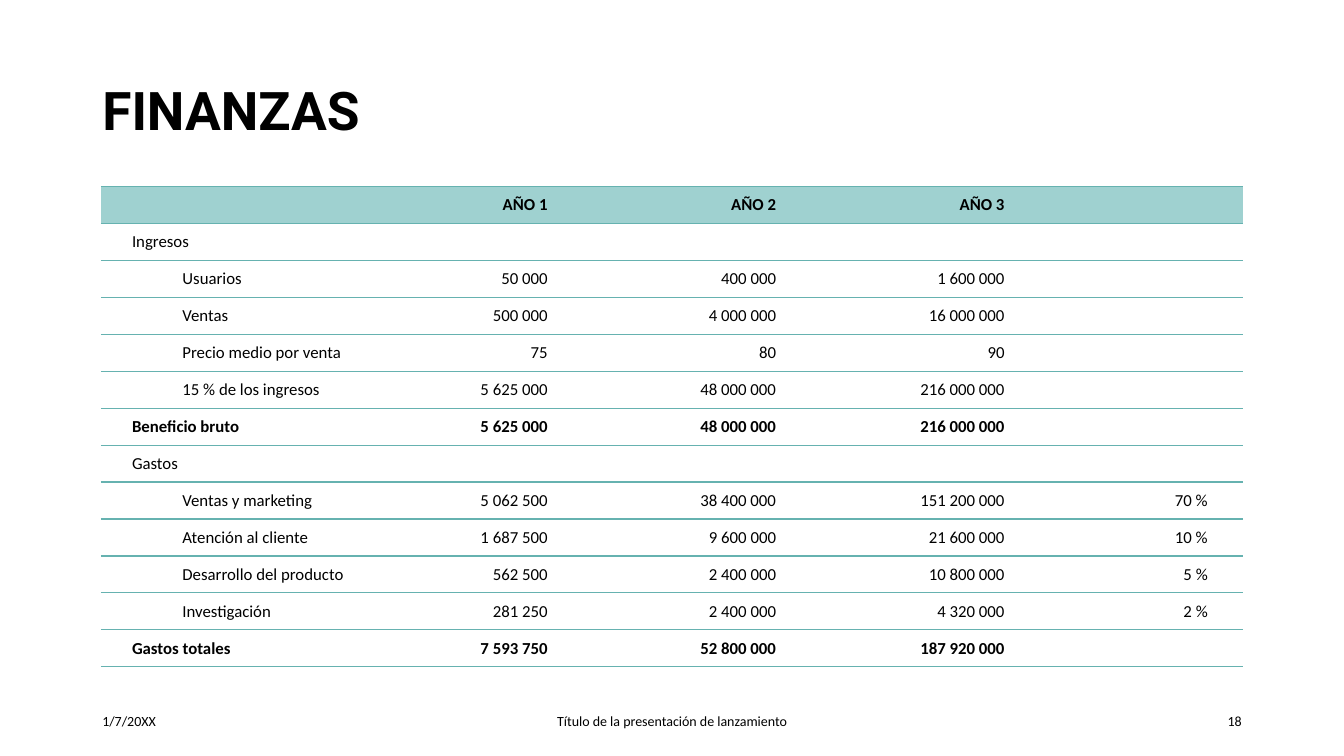
from pptx import Presentation
from pptx.dml.color import RGBColor
from pptx.enum.text import MSO_ANCHOR as Anchor, PP_ALIGN as Align
from pptx.oxml.ns import qn
from pptx.util import Inches, Pt
from lxml.etree import SubElement

BLACK = RGBColor(0x00, 0x00, 0x00)
MINT = RGBColor(0x9F, 0xD1, 0xD0)
TEAL = RGBColor(0x66, 0xB2, 0xB0)
PLAIN_TABLE = "{2D5ABB26-0587-4C30-8999-92F81FD0307C}"

# Each row: kind, label, yearly figures, share
HEADER, GROUP, ITEM, TOTAL = range(4)
FINANCES = [
    (HEADER, "", "AÑO 1", "AÑO 2", "AÑO 3", ""),
    (GROUP, "Ingresos", "", "", "", ""),
    (ITEM, "Usuarios", "50 000", "400 000", "1 600 000", ""),
    (ITEM, "Ventas", "500 000", "4 000 000", "16 000 000", ""),
    (ITEM, "Precio medio por venta", "75", "80", "90", ""),
    (ITEM, "15 % de los ingresos", "5 625 000", "48 000 000", "216 000 000", ""),
    (TOTAL, "Beneficio bruto", "5 625 000", "48 000 000", "216 000 000", ""),
    (GROUP, "Gastos", "", "", "", ""),
    (ITEM, "Ventas y marketing", "5 062 500", "38 400 000", "151 200 000", "70 %"),
    (ITEM, "Atención al cliente", "1 687 500", "9 600 000", "21 600 000", "10 %"),
    (ITEM, "Desarrollo del producto", "562 500", "2 400 000", "10 800 000", "5 %"),
    (ITEM, "Investigación", "281 250", "2 400 000", "4 320 000", "2 %"),
    (TOTAL, "Gastos totales", "7 593 750", "52 800 000", "187 920 000", ""),
]


class SlideBuilder:
    """Places elements on a grid of 160 columns by 90 rows."""

    heading_font = "Roboto"
    body_font = "Calibri"

    def __init__(self, presentation):
        self.slide = presentation.slides.add_slide(presentation.slide_layouts[6])
        self.column = presentation.slide_width / 160
        self.row = presentation.slide_height / 90

    def place(self, left, top, width, height):
        return (round(left * self.column), round(top * self.row),
                round(width * self.column), round(height * self.row))

    def add_text_run(self, paragraph, text, size, font=body_font, bold=False,
                     align=Align.LEFT):
        paragraph.alignment = align
        run = paragraph.add_run()
        run.text = text
        run.font.size = Pt(size)
        run.font.name = font
        run.font.bold = bold
        run.font.color.rgb = BLACK

    def text(self, area, text, size, **style):
        box = self.slide.shapes.add_textbox(*self.place(*area))
        frame = box.text_frame
        frame.word_wrap = True
        frame.vertical_anchor = Anchor.MIDDLE
        self.add_text_run(frame.paragraphs[0], text, size, **style)
        return frame.paragraphs[0]

    def rule(self, cell, side):
        line = SubElement(cell._tc.get_or_add_tcPr(), qn(f"a:{side}"), w=str(Pt(1)))
        fill = SubElement(line, qn("a:solidFill"))
        SubElement(fill, qn("a:srgbClr"), val=str(TEAL))

    def cell(self, cell, kind, position, text):
        # Rules come before the fill in the cell properties
        if kind == HEADER:
            self.rule(cell, "lnT")
        self.rule(cell, "lnB")
        if kind == HEADER:
            cell.fill.solid()
            cell.fill.fore_color.rgb = MINT
        else:
            cell.fill.background()
        cell.vertical_anchor = Anchor.MIDDLE
        paragraph = cell.text_frame.paragraphs[0]
        if not text:
            # Keeps an empty cell from growing its row
            SubElement(paragraph._p, qn("a:endParaRPr"), sz="1200")
            return
        if position == 0:
            cell.margin_left = Inches(0.31)
            if kind == ITEM:
                paragraph.level = 1
                paragraph._p.get_or_add_pPr().set("marL", str(Inches(0.5)))
                paragraph._p.get_or_add_pPr().set("indent", "0")
        elif position == 4:
            cell.margin_right = Inches(0.35)
        self.add_text_run(paragraph, text, 12, bold=kind in (HEADER, TOTAL),
                          align=Align.RIGHT if position else Align.LEFT)

    def table(self, left, top, widths, row_height, rows):
        area = self.place(left, top, sum(widths), row_height * len(rows))
        table = self.slide.shapes.add_table(len(rows), len(widths), *area).table
        table.first_row = table.horz_banding = False
        table._tbl.tblPr.find(qn("a:tableStyleId")).text = PLAIN_TABLE
        for column, width in zip(table.columns, widths):
            column.width = round(width * self.column)
        for table_row, (kind, *texts) in zip(table.rows, rows):
            table_row.height = round(row_height * self.row)
            for position, text in enumerate(texts):
                self.cell(table_row.cells[position], kind, position, text)


def main():
    presentation = Presentation()
    presentation.slide_width = Inches(13.33)
    presentation.slide_height = Inches(7.5)
    builder = SlideBuilder(presentation)

    # Title
    title = builder.text((11, 4.8, 138, 17.4), "FINANZAS", 38,
                         font=builder.heading_font, bold=True)
    title.line_spacing = 0.9

    # Finance table
    builder.table(12, 22.2, [35.4, 19, 27.2, 27.2, 27.2], 4.4, FINANCES)

    # Footer
    for left, width, text, align in [
        (11, 36, "1/7/20XX", Align.LEFT),
        (53, 54, "Título de la presentación de lanzamiento", Align.CENTER),
        (113, 36, "18", Align.RIGHT),
    ]:
        builder.text((left, 83.4, width, 4.8), text, 10, align=align)

    presentation.save("out.pptx")


if __name__ == "__main__":
    main()
